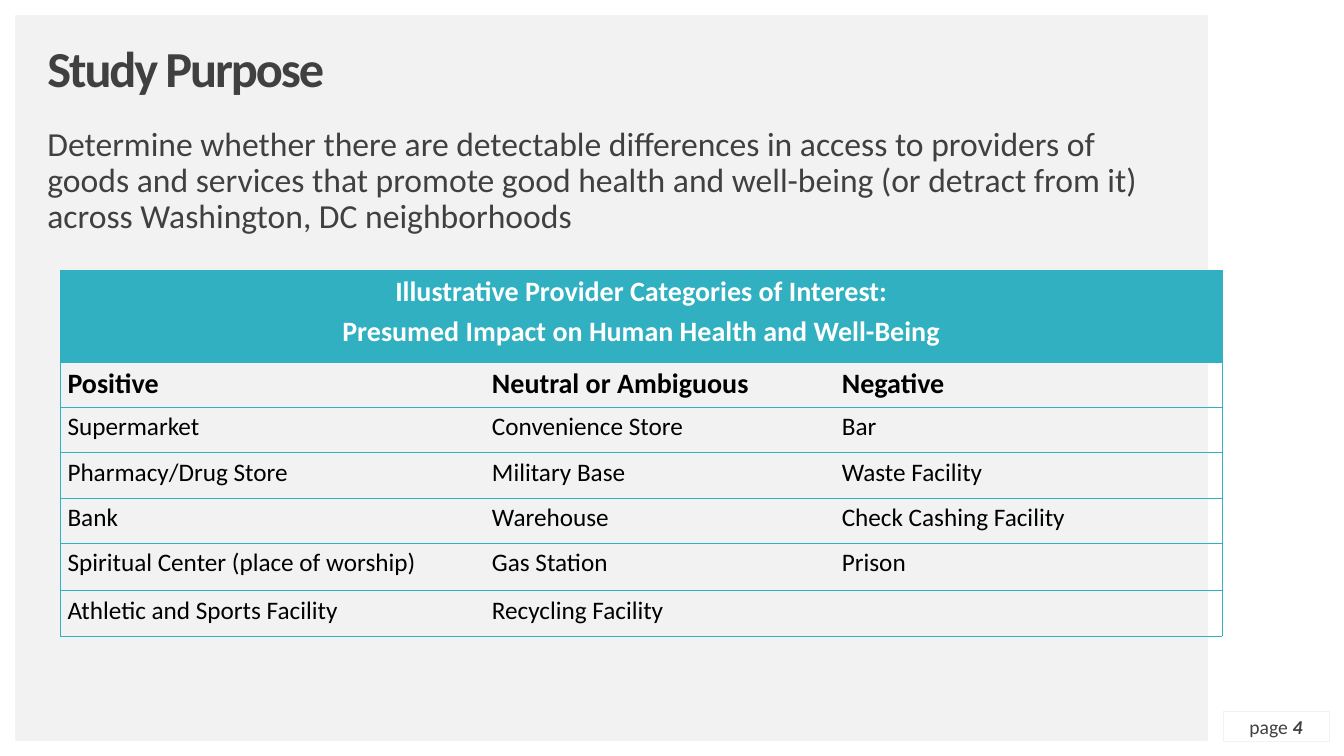
"""Build the Study Purpose slide with its table of provider categories."""
from dataclasses import dataclass

from lxml import etree
from pptx import Presentation
from pptx.dml.color import RGBColor
from pptx.enum.shapes import MSO_SHAPE
from pptx.enum.text import MSO_ANCHOR, PP_ALIGN
from pptx.oxml.ns import qn
from pptx.util import Inches, Pt

RECTANGLE = MSO_SHAPE.RECTANGLE
TOP, MIDDLE = MSO_ANCHOR.TOP, MSO_ANCHOR.MIDDLE
LEFT, CENTER = PP_ALIGN.LEFT, PP_ALIGN.CENTER

FONT = "Calibri"
WHITE, BLACK, GREY, DARK, TEAL = "FFFFFF", "000000", "F2F2F2", "404040", "31B0C1"
PAGE_WIDTH, PAGE_HEIGHT = 13.33, 7.5
MARGIN, SIDEBAR = 0.15, 1.35

BANNER = "Illustrative Provider Categories of Interest:\nPresumed Impact on Human Health and Well-Being"
ROWS = [
    (BANNER, "", ""),
    ("Positive", "Neutral or Ambiguous", "Negative"),
    ("Supermarket", "Convenience Store", "Bar"),
    ("Pharmacy/Drug Store", "Military Base", "Waste Facility"),
    ("Bank", "Warehouse", "Check Cashing Facility"),
    ("Spiritual Center (place of worship)", "Gas Station", "Prison"),
    ("Athletic and Sports Facility", "Recycling Facility", ""),
]
COLUMN_WIDTHS = [4.21, 3.47, 3.84]
ROW_HEIGHTS = [0.91, 0.45, 0.45, 0.45, 0.45, 0.47, 0.45]


@dataclass
class Area:
    left: float
    top: float
    width: float
    height: float

    def lengths(self) -> list:
        return [Inches(value) for value in (self.left, self.top, self.width, self.height)]


@dataclass
class Style:
    size: float
    color: str = DARK
    bold: bool = False
    align: int = LEFT
    line_spacing: float = 0.9


FRAME_BARS = [
    Area(0, 0, PAGE_WIDTH, MARGIN),
    Area(0, 0, MARGIN, PAGE_HEIGHT),
    Area(PAGE_WIDTH - SIDEBAR, 0, SIDEBAR, PAGE_HEIGHT),
    Area(0, PAGE_HEIGHT - MARGIN, PAGE_WIDTH, MARGIN),
]
BANNER_STYLE = Style(20, WHITE, True, CENTER, 1.15)
HEADING_STYLE = Style(20, BLACK, True, line_spacing=1.15)
ENTRY_STYLE = Style(18, BLACK, line_spacing=1.15)


def rgb(color: str) -> RGBColor:
    return RGBColor.from_string(color)


def format_text(frame, style: Style) -> None:
    for paragraph in frame.paragraphs:
        paragraph.alignment = style.align
        paragraph.line_spacing = style.line_spacing
        for span in paragraph.runs:
            span.font.name = FONT
            span.font.size = Pt(style.size)
            span.font.bold = style.bold
            span.font.color.rgb = rgb(style.color)


def clear_margins(frame, anchor) -> None:
    frame.word_wrap = True
    frame.vertical_anchor = anchor
    frame.margin_left = frame.margin_right = frame.margin_top = frame.margin_bottom = 0


def add_text(page, area: Area, text: str, style: Style, anchor=TOP):
    frame = page.shapes.add_textbox(*area.lengths()).text_frame
    clear_margins(frame, anchor)
    frame.text = text
    format_text(frame, style)
    return frame


def add_frame_bar(page, area: Area) -> None:
    bar = page.shapes.add_shape(RECTANGLE, *area.lengths())
    bar.shadow.inherit = False
    bar.fill.solid()
    bar.fill.fore_color.rgb = rgb(WHITE)
    bar.line.fill.background()


def add_page_number(page, area: Area) -> None:
    box = page.shapes.add_shape(RECTANGLE, *area.lengths())
    box.shadow.inherit = False
    box.fill.background()
    box.line.color.rgb = rgb(GREY)
    box.line.width = Pt(0.25)
    clear_margins(box.text_frame, MIDDLE)
    paragraph = box.text_frame.paragraphs[0]
    for text in ("page ", "4"):
        paragraph.add_run().text = text
    format_text(box.text_frame, Style(14, align=CENTER, line_spacing=1.0))
    number = paragraph.runs[-1].font
    number.bold = number.italic = True


def set_borders(cell, visible: str) -> None:
    properties = cell._tc.get_or_add_tcPr()
    for position, side in enumerate("LRTB"):
        line = etree.Element(qn(f"a:ln{side}"), w=str(Pt(0.5)))
        if side in visible:
            fill = etree.SubElement(line, qn("a:solidFill"))
            etree.SubElement(fill, qn("a:srgbClr"), val=TEAL)
        else:
            etree.SubElement(line, qn("a:noFill"))
        properties.insert(position, line)


def add_provider_table(page, area: Area) -> None:
    table = page.shapes.add_table(len(ROWS), len(COLUMN_WIDTHS), *area.lengths()).table
    table.first_row = table.horz_banding = False
    for column, width in zip(table.columns, COLUMN_WIDTHS):
        column.width = Inches(width)
    table.cell(0, 0).merge(table.cell(0, len(COLUMN_WIDTHS) - 1))
    styles = [BANNER_STYLE, HEADING_STYLE] + [ENTRY_STYLE] * (len(ROWS) - 2)
    for row_index, (texts, height, style) in enumerate(zip(ROWS, ROW_HEIGHTS, styles)):
        table.rows[row_index].height = Inches(height)
        for column_index, text in enumerate(texts):
            cell = table.cell(row_index, column_index)
            cell.margin_left = cell.margin_right = Inches(0.07)
            cell.margin_top = cell.margin_bottom = 0
            if text:
                cell.text_frame.text = text
                format_text(cell.text_frame, style)
            if row_index == 0:
                cell.fill.solid()
                cell.fill.fore_color.rgb = rgb(TEAL)
            else:
                cell.fill.background()
            left = "L" if column_index == 0 else ""
            right = "R" if column_index == len(texts) - 1 or cell.is_merge_origin else ""
            set_borders(cell, "TB" + left + right)


def main() -> None:
    deck = Presentation()
    deck.slide_width, deck.slide_height = Inches(PAGE_WIDTH), Inches(PAGE_HEIGHT)
    page = deck.slides.add_slide(deck.slide_layouts[6])
    page.background.fill.solid()
    page.background.fill.fore_color.rgb = rgb(GREY)
    for area in FRAME_BARS:
        add_frame_bar(page, area)
    title = add_text(page, Area(0.47, 0.47, 11.09, 0.47), "Study Purpose", Style(36, bold=True), MIDDLE)
    title.paragraphs[0].runs[0]._r.get_or_add_rPr().set("spc", "-150")
    add_text(
        page,
        Area(0.47, 1.26, 11.09, 5.51),
        "Determine whether there are detectable differences in access to providers of goods and services "
        "that promote good health and well-being (or detract from it) across Washington, DC neighborhoods",
        Style(24),
    )
    add_page_number(page, Area(12.13, 7.06, 1.05, 0.29))
    add_provider_table(page, Area(0.6, 2.68, sum(COLUMN_WIDTHS), sum(ROW_HEIGHTS)))
    deck.save("out.pptx")


if __name__ == "__main__":
    main()
